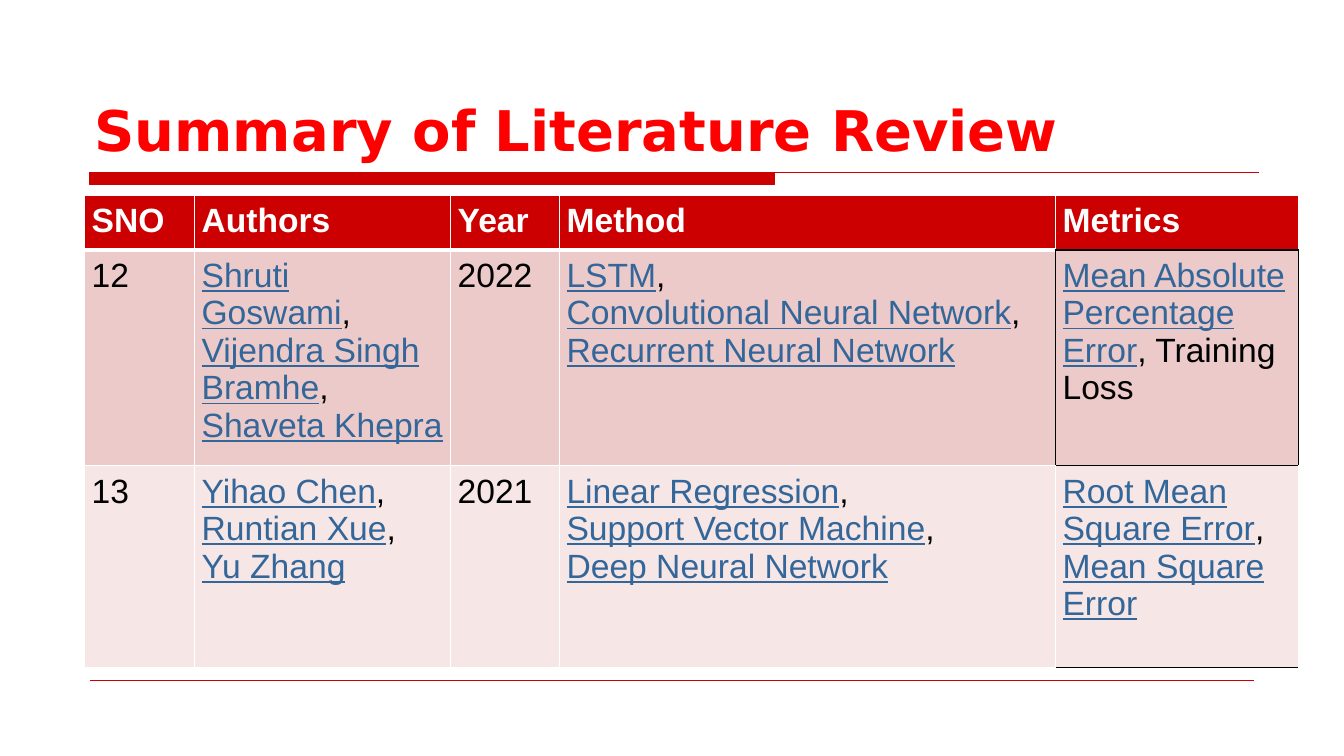
import pptx
import pptx.dml.color
import pptx.enum.shapes
import pptx.enum.text
import pptx.oxml
import pptx.oxml.ns
import pptx.util
from dataclasses import dataclass
from lxml import etree

Inches = pptx.util.Inches
Pt = pptx.util.Pt


@dataclass(frozen=True)
class Theme:
    accent: str = "CC0000"
    title: str = "FF0000"
    link: str = "336699"
    text: str = "000000"
    light: str = "FFFFFF"
    bands: tuple = ("ECCACA", "F6E6E6")
    title_font: str = "DejaVu Sans"
    body_font: str = "Arial"
    title_size: int = 40
    body_size: int = 24
    rule_width: float = 0.75


def rgb(value):
    return pptx.dml.color.RGBColor.from_string(value)


class SlideBuilder:
    def __init__(self, slide, theme):
        self.slide = slide
        self.theme = theme

    def style_paragraph(self, paragraph, name, size, bold):
        paragraph.font.name = name
        paragraph.font.size = Pt(size)
        paragraph.font.bold = bold

    def add_title(self, text, left, top, width, height):
        shape = self.slide.shapes.add_textbox(Inches(left), Inches(top), Inches(width), Inches(height))
        frame = shape.text_frame
        frame.word_wrap = True
        frame.vertical_anchor = pptx.enum.text.MSO_ANCHOR.BOTTOM
        paragraph = frame.paragraphs[0]
        paragraph.text = text
        self.style_paragraph(paragraph, self.theme.title_font, self.theme.title_size, True)
        paragraph.font.color.rgb = rgb(self.theme.title)

    def add_title_rule(self, left, top, bar_width, line_width, height):
        x, y = Inches(left), Inches(top)
        bar_right, bottom = Inches(left + bar_width), Inches(top + height)
        builder = self.slide.shapes.build_freeform(x, y)
        builder.add_line_segments([(bar_right, y), (bar_right, bottom), (x, bottom)], close=True)
        builder.move_to(x, y)
        builder.add_line_segments([(Inches(left + line_width), y)], close=False)
        shape = builder.convert_to_shape()
        shape.shadow.inherit = False
        shape.fill.solid()
        shape.fill.fore_color.rgb = rgb(self.theme.accent)
        shape.line.color.rgb = rgb(self.theme.accent)
        shape.line.width = Pt(self.theme.rule_width)

    def add_line(self, left, top, right):
        connector = self.slide.shapes.add_connector(
            pptx.enum.shapes.MSO_CONNECTOR.STRAIGHT, Inches(left), Inches(top), Inches(right), Inches(top))
        connector.line.color.rgb = rgb(self.theme.accent)
        connector.line.width = Pt(self.theme.rule_width)
        etree.SubElement(connector._element.spPr, pptx.oxml.ns.qn("a:effectLst"))

    def add_table(self, rows, left, top, widths, heights, borders):
        frame = self.slide.shapes.add_table(
            len(rows), len(widths), Inches(left), Inches(top), Inches(sum(widths)), Inches(sum(heights)))
        table = frame.table
        for column, width in zip(table.columns, widths):
            column.width = Inches(width)
        for row, height in zip(table.rows, heights):
            row.height = Inches(height)
        for row_index, row in enumerate(rows):
            for column_index, text in enumerate(row):
                cell = table.cell(row_index, column_index)
                self.fill_cell(cell, text, row_index)
                sides = dict.fromkeys("LRTB", (self.theme.light, 1))
                if row_index == 0:
                    sides["B"] = (self.theme.light, 3)
                for side in borders.get((row_index, column_index), ""):
                    sides[side] = (self.theme.text, 1)
                self.set_borders(cell, sides)

    def fill_cell(self, cell, text, row_index):
        theme = self.theme
        header = row_index == 0
        cell.fill.solid()
        cell.fill.fore_color.rgb = rgb(theme.accent if header else theme.bands[row_index - 1])
        cell.margin_left = cell.margin_right = cell.margin_top = cell.margin_bottom = Inches(0.07)
        for index, lines in enumerate(text.split("\n")):
            frame = cell.text_frame
            paragraph = frame.add_paragraph() if index else frame.paragraphs[0]
            self.style_paragraph(paragraph, theme.body_font, theme.body_size, header)
            for line_index, line in enumerate(lines.split("\v")):
                if line_index:
                    paragraph.add_line_break()
                self.add_runs(paragraph, line, theme.light if header else theme.text)

    def add_runs(self, paragraph, line, color):
        for index, piece in enumerate(line.split("|")):
            if piece:
                linked = index % 2 == 1
                run = paragraph.add_run()
                run.text = piece
                run.font.underline = linked
                run.font.color.rgb = rgb(self.theme.link if linked else color)

    def set_borders(self, cell, sides):
        properties = cell._tc.get_or_add_tcPr()
        for index, (side, (color, width)) in enumerate(sides.items()):
            border = pptx.oxml.parse_xml(
                f'<a:ln{side} {pptx.oxml.ns.nsdecls("a")} w="{Pt(width)}">'
                f'<a:solidFill><a:srgbClr val="{color}"/></a:solidFill></a:ln{side}>')
            properties.insert(index, border)


REVIEW_ROWS = [
    ["SNO", "Authors", "Year", "Method", "Metrics"],
    ["12",
     "|Shruti Goswami|,\n|Vijendra Singh Bramhe|,\n|Shaveta Khepra|",
     "2022",
     "|LSTM|,\v|Convolutional Neural Network|,\u00a0\n|Recurrent Neural Network|",
     "|Mean Absolute Percentage Error|, Training Loss"],
    ["13",
     "|Yihao Chen|,\n|Runtian Xue|,\n|Yu Zhang|",
     "2021",
     "|Linear Regression|,\v|Support Vector Machine|,\n|Deep Neural Network|",
     "|Root Mean Square Error|,\u00a0\n|Mean Square Error|"],
]
DARK_BORDERS = {(0, 4): "B", (1, 3): "R", (1, 4): "LRTB", (2, 4): "TB"}


def main():
    presentation = pptx.Presentation()
    presentation.slide_width = Inches(13.33)
    presentation.slide_height = Inches(7.5)
    slide = presentation.slides.add_slide(presentation.slide_layouts[6])
    builder = SlideBuilder(slide, Theme())
    builder.add_title_rule(0.89, 1.71, 6.79, 11.6, 0.12)
    builder.add_line(0.89, 6.75, 12.44)
    builder.add_title("Summary of Literature Review", 0.84, 0.33, 11.67, 1.33)
    builder.add_table(REVIEW_ROWS, 0.84, 1.94, [1.09, 2.54, 1.08, 4.92, 2.41], [0.51, 2, 2], DARK_BORDERS)
    presentation.save("out.pptx")


if __name__ == "__main__":
    main()
